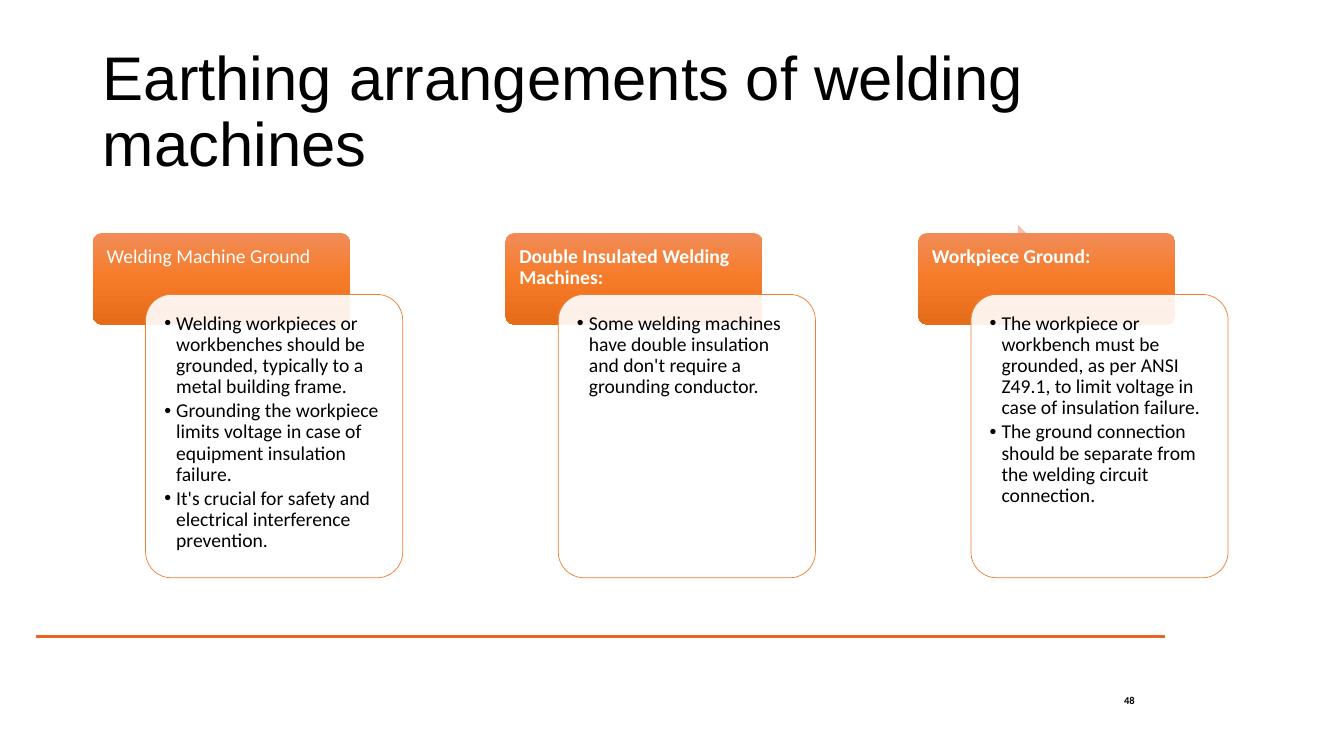
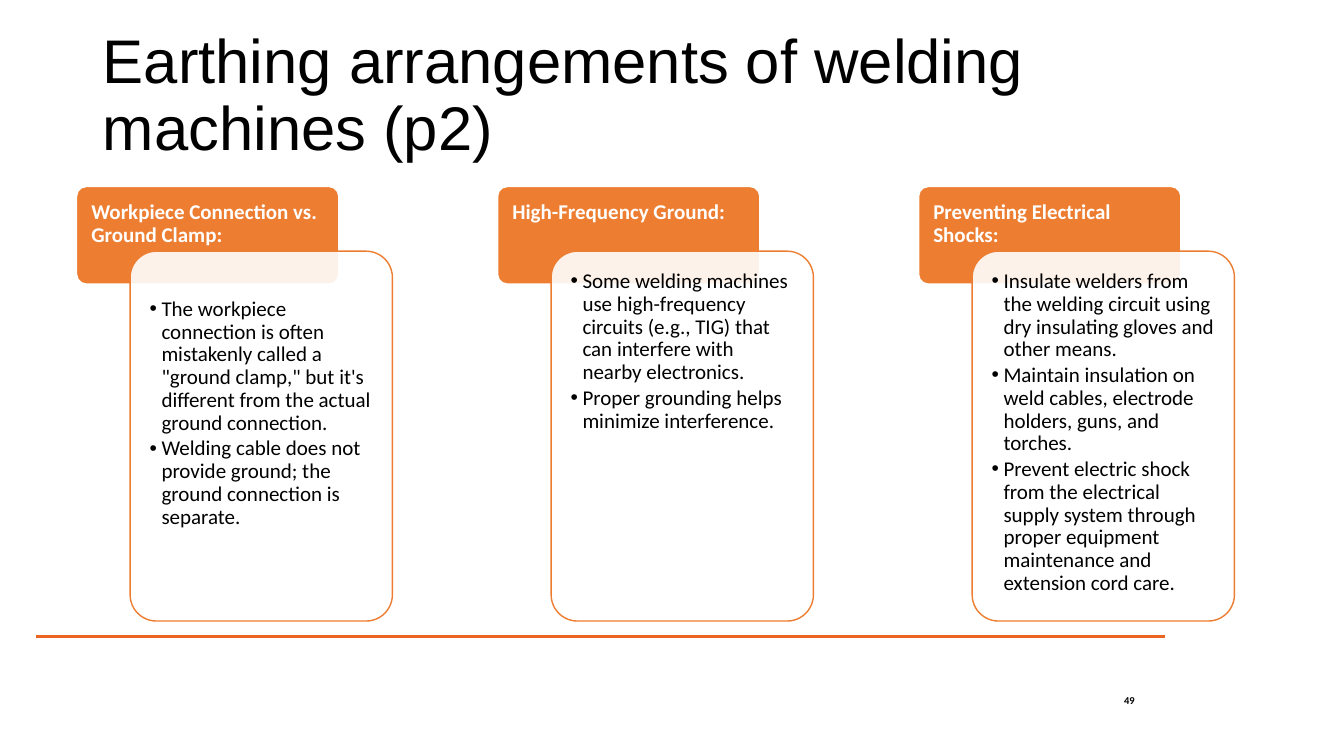
from copy import deepcopy
from dataclasses import dataclass

from lxml.etree import SubElement
from pptx import Presentation
from pptx.dml.color import RGBColor
from pptx.enum.shapes import MSO_CONNECTOR, MSO_SHAPE
from pptx.enum.text import MSO_ANCHOR, MSO_AUTO_SIZE, PP_ALIGN
from pptx.oxml.ns import qn
from pptx.util import Cm, Pt


# Theme: colours, fonts and type sizes
@dataclass(frozen=True)
class Theme:
    ink: RGBColor = RGBColor.from_string("000000")
    paper: RGBColor = RGBColor.from_string("FFFFFF")
    orange: RGBColor = RGBColor.from_string("ED7D31")
    rule: RGBColor = RGBColor.from_string("EC6422")
    blush: RGBColor = RGBColor.from_string("F4BFAE")
    glow: tuple = ("F18C57", "F67B28", "E56C19")
    title_font: str = "Arial"
    text_font: str = "Calibri"
    title_size: float = 44
    number_size: float = 7.5
    line_spacing: float = 0.9


# Measures of one row of cards, in centimetres and points
@dataclass(frozen=True)
class CardRow:
    left: float
    top: float
    pitch: float
    width: float
    tab_height: float
    card_shift: float
    card_top: float
    card_height: float
    inset: float
    text_size: float
    outline: float
    glowing: bool


@dataclass(frozen=True)
class Card:
    heading: str
    points: tuple
    bold: bool = True
    list_drop: float = 0
    arrow_behind: bool = False


class Deck:
    LIST_IDS = (1, 2, 13)
    LIST_MARGIN = 0.19
    HANGING = 0.3

    def __init__(self, theme):
        self.theme = theme
        self.prs = Presentation()
        self.prs.slide_width, self.prs.slide_height = Cm(33.87), Cm(19.05)
        self.layout = self.prs.slide_layouts[3]
        self.add_third_list()
        self.slide = None

    def add_third_list(self):
        """Give the two-list layout a third list placeholder."""
        second = next(p for p in self.layout.placeholders
                      if p.placeholder_format.idx == self.LIST_IDS[1])
        third = deepcopy(second.element)
        third.xpath(".//p:cNvPr")[0].set("id", "20")
        third.xpath(".//p:ph")[0].set("idx", str(self.LIST_IDS[2]))
        second.element.addnext(third)

    # Text
    def add_text(self, paragraph, text, size, color, font=None, bold=False):
        paragraph.line_spacing = self.theme.line_spacing
        paragraph.space_before = Pt(0)
        run = paragraph.add_run()
        run.text = text
        run.font.name = font or self.theme.text_font
        run.font.size = Pt(size)
        run.font.bold = bold
        run.font.color.rgb = color

    def prepare(self, frame, inset, anchor=MSO_ANCHOR.TOP):
        frame.word_wrap = True
        frame.auto_size = MSO_AUTO_SIZE.NONE
        frame.vertical_anchor = anchor
        frame.margin_left = frame.margin_right = Cm(inset)
        frame.margin_top = frame.margin_bottom = Cm(inset)

    def place(self, shape, left, top, width, height):
        shape.left, shape.top = Cm(left), Cm(top)
        shape.width, shape.height = Cm(width), Cm(height)

    # Slide with title, rule and number
    def new_slide(self, title, title_top, number):
        self.slide = self.prs.slides.add_slide(self.layout)
        heading = self.slide.shapes.title
        self.place(heading, 2.34, title_top, 29.21, 3.68)
        self.prepare(heading.text_frame, 0.25, MSO_ANCHOR.MIDDLE)
        line = heading.text_frame.paragraphs[0]
        line.alignment = PP_ALIGN.LEFT
        self.add_text(line, title, self.theme.title_size, self.theme.ink,
                      self.theme.title_font)
        self.rule()
        self.page_number(number)

    def rule(self):
        y = Cm(16.03)
        rule = self.slide.shapes.add_connector(
            MSO_CONNECTOR.STRAIGHT, Cm(0.91), y, Cm(29.36), y)
        rule.line.color.rgb = self.theme.rule
        rule.line.width = Pt(2.25)
        SubElement(rule.element.spPr, qn("a:effectLst"))

    def page_number(self, number):
        box = self.slide.shapes.add_textbox(
            Cm(27.23), Cm(17.35), Cm(1.37), Cm(0.61))
        self.prepare(box.text_frame, 0, MSO_ANCHOR.MIDDLE)
        line = box.text_frame.paragraphs[0]
        line.alignment = PP_ALIGN.RIGHT
        self.add_text(line, str(number), self.theme.number_size,
                      self.theme.ink, bold=True)

    # Shapes
    def shape(self, kind, left, top, width, height, fill, outline=None, points=0):
        shape = self.slide.shapes.add_shape(
            kind, Cm(left), Cm(top), Cm(width), Cm(height))
        shape.shadow.inherit = False
        shape.fill.solid()
        shape.fill.fore_color.rgb = fill
        if outline is None:
            shape.line.fill.background()
        else:
            shape.line.color.rgb = outline
            shape.line.width = Pt(points)
        return shape

    def rounded(self, *args, **kwargs):
        shape = self.shape(MSO_SHAPE.ROUNDED_RECTANGLE, *args, **kwargs)
        shape.adjustments[0] = 0.1
        return shape

    def glow(self, shape):
        shape.fill.gradient()
        shape.fill.gradient_angle = 270
        stops = shape.element.spPr.find(qn("a:gradFill")).find(qn("a:gsLst"))
        stops.append(deepcopy(stops[0]))
        for i, (stop, color) in enumerate(
                zip(shape.fill.gradient_stops, self.theme.glow)):
            stop.position = i / 2
            stop.color.rgb = RGBColor.from_string(color)

    # Cards
    def tab(self, row, left, card):
        theme = self.theme
        tab = self.rounded(left, row.top, row.width, row.tab_height, theme.orange,
                           None if row.glowing else theme.paper, row.outline)
        if row.glowing:
            self.glow(tab)
        self.prepare(tab.text_frame, row.inset)
        line = tab.text_frame.paragraphs[0]
        line.alignment = PP_ALIGN.LEFT
        self.add_text(line, card.heading, row.text_size, theme.paper, bold=card.bold)

    def panel(self, row, left):
        panel = self.rounded(left, row.card_top, row.width, row.card_height,
                             self.theme.paper, self.theme.orange, row.outline)
        color = panel.element.spPr.find(qn("a:solidFill"))[0]
        SubElement(color, qn("a:alpha")).set("val", "90000")

    def bullets(self, row, left, card, list_id):
        box = self.slide.placeholders[list_id]
        margin = self.LIST_MARGIN
        self.place(box, left + margin, row.card_top + margin,
                   row.width - 2 * margin, row.card_height - 2 * margin)
        frame = box.text_frame
        self.prepare(frame, row.inset)
        frame.margin_top = Cm(row.inset + card.list_drop)
        for i, point in enumerate(card.points):
            line = frame.add_paragraph() if i else frame.paragraphs[0]
            props = line._p.get_or_add_pPr()
            props.set("marL", str(Cm(self.HANGING)))
            props.set("indent", str(-Cm(self.HANGING)))
            SubElement(props, qn("a:buFont")).set("typeface", "Arial")
            SubElement(props, qn("a:buChar")).set("char", "•")
            line.alignment = PP_ALIGN.LEFT
            line.space_after = Pt(0.15 * row.text_size)
            self.add_text(line, point, row.text_size, self.theme.ink)
        # The list belongs above its panel
        self.slide.shapes.element.append(box.element)

    def cards(self, row, cards):
        for i, (card, list_id) in enumerate(zip(cards, self.LIST_IDS)):
            left = row.left + i * row.pitch
            if card.arrow_behind:
                arrow = self.shape(MSO_SHAPE.RIGHT_ARROW, left + 1.4, row.top - 0.2,
                                   1.88, 1.52, self.theme.blush)
                arrow.adjustments[0] = 0.6
            self.tab(row, left, card)
            self.panel(row, left + row.card_shift)
            self.bullets(row, left + row.card_shift, card, list_id)


GROUND_ROW = CardRow(
    left=2.34, top=5.87, pitch=10.4, width=6.48, tab_height=2.31, card_shift=1.33,
    card_top=7.42, card_height=7.14, inset=0.28, text_size=14, outline=0.5,
    glowing=True)
SAFETY_ROW = CardRow(
    left=1.93, top=4.7, pitch=10.61, width=6.61, tab_height=2.46, card_shift=1.35,
    card_top=6.33, card_height=9.32, inset=0.3, text_size=15, outline=1,
    glowing=False)

GROUND_CARDS = (
    Card("Welding Machine Ground", (
        "Welding workpieces or workbenches should be grounded, typically to a metal building frame.",
        "Grounding the workpiece limits voltage in case of equipment insulation failure.",
        "It's crucial for safety and electrical interference prevention.",
    ), bold=False),
    Card("Double Insulated Welding Machines:", (
        "Some welding machines have double insulation and don't require a grounding conductor.",
    )),
    Card("Workpiece Ground:", (
        "The workpiece or workbench must be grounded, as per ANSI Z49.1, to limit voltage in case of insulation failure.",
        "The ground connection should be separate from the welding circuit connection.",
    ), arrow_behind=True),
)
SAFETY_CARDS = (
    Card("Workpiece Connection vs. Ground Clamp:", (
        "The workpiece connection is often mistakenly called a \"ground clamp,\" but it's different from the actual ground connection.",
        "Welding cable does not provide ground; the ground connection is separate.",
    ), list_drop=0.7),
    Card("High-Frequency Ground:", (
        "Some welding machines use high-frequency circuits (e.g., TIG) that can interfere with nearby electronics.",
        "Proper grounding helps minimize interference.",
    )),
    Card("Preventing Electrical Shocks:", (
        "Insulate welders from the welding circuit using dry insulating gloves and other means.",
        "Maintain insulation on weld cables, electrode holders, guns, and torches.",
        "Prevent electric shock from the electrical supply system through proper equipment maintenance and extension cord care.",
    )),
)


def main():
    deck = Deck(Theme())
    deck.new_slide("Earthing arrangements of welding machines", 1.02, 48)
    deck.cards(GROUND_ROW, GROUND_CARDS)
    deck.new_slide("Earthing arrangements of welding machines (p2)", 0.61, 49)
    deck.cards(SAFETY_ROW, SAFETY_CARDS)
    deck.prs.save("out.pptx")


if __name__ == "__main__":
    main()
